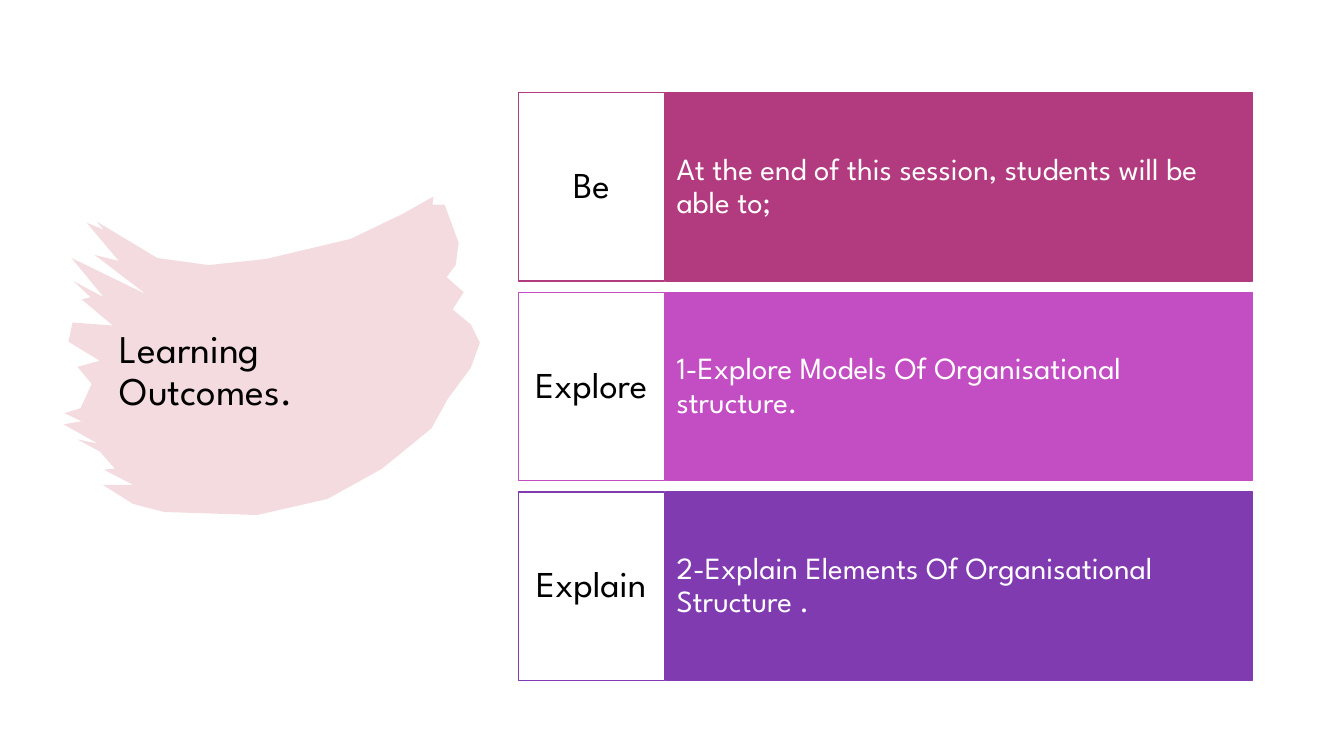
"""Build the Learning Outcomes slide: a brush stroke title and three outcome rows."""
from dataclasses import dataclass
from lxml.etree import SubElement
from pptx import Presentation
from pptx.dml.color import RGBColor
from pptx.enum.shapes import MSO_SHAPE
from pptx.enum.text import MSO_ANCHOR, MSO_AUTO_SIZE, PP_ALIGN
from pptx.oxml.ns import qn
from pptx.util import Pt


@dataclass(frozen=True)
class Theme:
    font: str = "League Spartan"
    black: str = "000000"
    white: str = "FFFFFF"
    brush: str = "C34D5F"
    brush_alpha: str = "20000"
    title_size: int = 28
    label_size: int = 26
    detail_size: int = 22
    line_spacing: float = 0.9


PX = 9144
theme = Theme()


def px(*lengths):
    return [length * PX for length in lengths]


def write(box, text, *, size, color, align=PP_ALIGN.LEFT, inset=(10, 5)):
    frame = box.text_frame
    frame.word_wrap = True
    frame.auto_size = MSO_AUTO_SIZE.NONE
    frame.vertical_anchor = MSO_ANCHOR.MIDDLE
    frame.margin_left, frame.margin_top = px(*inset)
    frame.margin_right, frame.margin_bottom = px(*inset)
    para = frame.paragraphs[0]
    para.alignment = align
    para.line_spacing = theme.line_spacing
    span = para.add_run()
    span.text = text
    span.font.name = theme.font
    span.font.size = Pt(size)
    span.font.color.rgb = RGBColor.from_string(color)


deck = Presentation()
deck.slide_width, deck.slide_height = px(1333, 750)
page = deck.slides.add_slide(deck.slide_layouts[5])

brush_outline = [
    (430, 195), (429, 203), (441, 203), (455, 241), (452, 263), (443, 275),
    (460, 290), (449, 307), (467, 322), (476, 340), (467, 365), (444, 396),
    (428, 425), (379, 465), (325, 495), (255, 511), (163, 508), (132, 500),
    (102, 481), (132, 481), (103, 466), (114, 465), (99, 448), (77, 436),
    (97, 440), (63, 421), (81, 418), (64, 410), (80, 405), (91, 381),
    (77, 364), (99, 358), (68, 339), (72, 320), (112, 323), (81, 297),
    (90, 295), (73, 279), (103, 295), (71, 256), (145, 292), (94, 253),
    (118, 259), (86, 221), (103, 228), (96, 220), (156, 256), (207, 263),
    (264, 257), (348, 237), (400, 212),
]
pen = page.shapes.build_freeform(*brush_outline[0], scale=PX)
pen.add_line_segments(brush_outline[1:], close=True)
brush = pen.convert_to_shape()
brush.shadow.inherit = False
brush.fill.solid()
brush.fill.fore_color.rgb = RGBColor.from_string(theme.brush)
brush.line.fill.background()
brush_color = brush.fill._xPr.find(qn("a:solidFill")).find(qn("a:srgbClr"))
SubElement(brush_color, qn("a:alpha"), val=theme.brush_alpha)

title = page.shapes.title
title.left, title.top, title.width, title.height = px(109, 287, 329, 164)
write(title, "Learning Outcomes.", size=theme.title_size, color=theme.black)
page.shapes._spTree.append(title._element)

outcomes = [
    ("Be", "At the end of this session, students will be able to;", "B13B7E"),
    ("Explore", "1-Explore Models Of Organisational structure.", "C34DC2"),
    ("Explain", "2-Explain Elements Of Organisational Structure .", "813BB1"),
]
row_top, row_pitch, row_height = 92, 198, 187
for row, (label, detail, color) in enumerate(outcomes):
    top = row_top + row * row_pitch
    cells = [
        (660, 582, color, detail, dict(
            size=theme.detail_size, color=theme.white, inset=(11, 48))),
        (514, 145, theme.white, label, dict(
            size=theme.label_size, color=theme.black, inset=(8, 18),
            align=PP_ALIGN.CENTER)),
    ]
    for left, width, fill, text, style in cells:
        box = page.shapes.add_shape(
            MSO_SHAPE.RECTANGLE, *px(left, top, width, row_height))
        box.shadow.inherit = False
        box.fill.solid()
        box.fill.fore_color.rgb = RGBColor.from_string(fill)
        box.line.color.rgb = RGBColor.from_string(color)
        box.line.width = Pt(1)
        write(box, text, **style)

deck.save("out.pptx")
